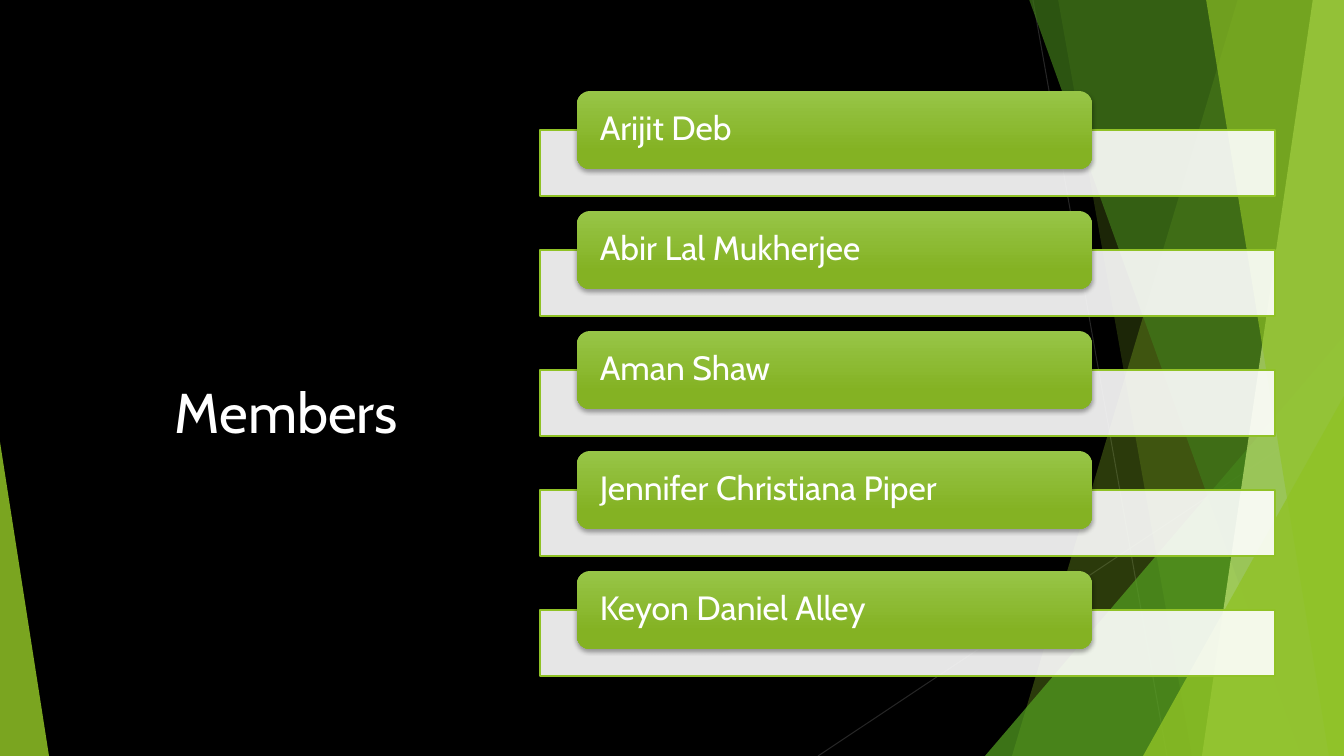
from dataclasses import dataclass

from lxml.etree import SubElement
from pptx import Presentation
from pptx.dml.color import RGBColor
from pptx.enum.shapes import MSO_CONNECTOR, MSO_SHAPE
from pptx.enum.text import MSO_ANCHOR as Anchor, MSO_AUTO_SIZE as AutoSize, PP_ALIGN as Align
from pptx.oxml.ns import qn
from pptx.shapes.autoshape import Shape
from pptx.shapes.shapetree import SlideShapes
from pptx.slide import Slide
from pptx.text.text import TextFrame
from pptx.util import Emu, Pt

WIDTH, HEIGHT = 1344, 756
SCALE = 12192000 / WIDTH
FONT = "Cabin"
ROW_PITCH = 120

BLACK = RGBColor(0x00, 0x00, 0x00)
WHITE = RGBColor(0xFF, 0xFF, 0xFF)
CHARCOAL = RGBColor(0x26, 0x26, 0x26)
LIME = RGBColor(0x90, 0xC2, 0x26)
GREEN = RGBColor(0x54, 0xA0, 0x21)
FOREST = RGBColor(0x3F, 0x78, 0x19)
PALE_LIME = RGBColor(0xC0, 0xE4, 0x74)
PILL_TOP = RGBColor(0x97, 0xC5, 0x47)
PILL_BOTTOM = RGBColor(0x84, 0xB2, 0x23)


@dataclass(frozen=True)
class Box:
    left: int
    top: int
    width: int
    height: int


@dataclass(frozen=True)
class Ray:
    x1: int
    y1: int
    x2: int
    y2: int


@dataclass(frozen=True)
class Band:
    top_x: int
    bottom_x: int
    color: RGBColor
    opacity: int


@dataclass(frozen=True)
class Wedge:
    box: Box
    apex: int
    color: RGBColor
    opacity: int


RAYS = [Ray(1033, 0, 1167, HEIGHT), Ray(WIDTH, 406, 818, HEIGHT)]
FACETS = [
    Band(1238, 1012, LIME, 30),
    Band(1058, 1192, LIME, 20),
    Wedge(Box(985, 336, 359, 420), 1, GREEN, 72),
    Band(1029, 1301, FOREST, 70),
    Band(1313, 1202, PALE_LIME, 70),
    Band(1206, 1329, LIME, 65),
    Wedge(Box(1143, 396, 201, 360), 1, LIME, 80),
    Wedge(Box(0, 442, 49, 314), 0, LIME, 85),
]
TITLE_BOX = Box(64, 185, 344, 265)
MEMBERS = [
    "Arijit Deb",
    "Abir Lal Mukherjee",
    "Aman Shaw",
    "Jennifer Christiana Piper",
    "Keyon Daniel Alley",
]


def px(length: int) -> Emu:
    return Emu(round(length * SCALE))


def place(box: Box) -> tuple[Emu, Emu, Emu, Emu]:
    return px(box.left), px(box.top), px(box.width), px(box.height)


def fill_solid(shape: Shape, color: RGBColor, opacity: int) -> None:
    shape.shadow.inherit = False
    shape.fill.solid()
    shape.fill.fore_color.rgb = color
    tint = shape.fill._xPr.find(f"{qn('a:solidFill')}/{qn('a:srgbClr')}")
    SubElement(tint, qn("a:alpha"), val=str(opacity * 1000))


def write(frame: TextFrame, text: str, size: int, align: Align, anchor: Anchor) -> None:
    frame.text = text
    frame.word_wrap = True
    frame.auto_size = AutoSize.NONE
    frame.vertical_anchor = anchor
    line = frame.paragraphs[0]
    line.alignment = align
    font = line.runs[0].font
    font.name, font.size = FONT, Pt(size)
    font.color.rgb = WHITE


def draw_ray(shapes: SlideShapes, ray: Ray) -> None:
    ends = (px(ray.x1), px(ray.y1), px(ray.x2), px(ray.y2))
    connector = shapes.add_connector(MSO_CONNECTOR.STRAIGHT, *ends)
    connector.line.color.rgb = CHARCOAL
    connector.line.width = Pt(0.75)
    SubElement(connector._element.spPr, qn("a:effectLst"))


def draw_facet(shapes: SlideShapes, facet: Band | Wedge) -> None:
    if isinstance(facet, Band):
        outline = shapes.build_freeform(facet.top_x, -1, scale=SCALE)
        outline.add_line_segments([(WIDTH, -1), (WIDTH, HEIGHT), (facet.bottom_x, HEIGHT)])
        shape = outline.convert_to_shape()
    else:
        shape = shapes.add_shape(MSO_SHAPE.ISOSCELES_TRIANGLE, *place(facet.box))
        shape.adjustments[0] = facet.apex
    fill_solid(shape, facet.color, facet.opacity)
    shape.line.fill.background()


def draw_bar(shapes: SlideShapes, box: Box) -> None:
    bar = shapes.add_shape(MSO_SHAPE.RECTANGLE, *place(box))
    fill_solid(bar, WHITE, 90)
    bar.line.color.rgb = LIME
    bar.line.width = Pt(1)


def draw_pill(shapes: SlideShapes, box: Box, name: str) -> None:
    pill = shapes.add_shape(MSO_SHAPE.ROUNDED_RECTANGLE, *place(box))
    pill.fill.gradient()
    pill.fill.gradient_angle = 270
    for stop, position, color in zip(pill.fill.gradient_stops, (0, 0.78), (PILL_TOP, PILL_BOTTOM)):
        stop.position = position
        stop.color.rgb = color
    pill.line.fill.background()
    pill.shadow.inherit = False
    effects = pill._element.spPr.find(qn("a:effectLst"))
    shadow = SubElement(effects, qn("a:outerShdw"), blurRad=str(Pt(3)), dist=str(Pt(2)),
                        dir="5400000", rotWithShape="0")
    shade = SubElement(shadow, qn("a:srgbClr"), val=str(BLACK))
    SubElement(shade, qn("a:alpha"), val="35000")
    frame = pill.text_frame
    write(frame, name, 24, Align.LEFT, Anchor.MIDDLE)
    frame.margin_left = frame.margin_right = px(19)
    frame.margin_top = frame.margin_bottom = 0
    frame.paragraphs[0].line_spacing = 0.9


def draw_title(slide: Slide) -> None:
    title = slide.shapes.title
    title.left, title.top, title.width, title.height = place(TITLE_BOX)
    write(title.text_frame, "Members", 40, Align.RIGHT, Anchor.BOTTOM)


def main() -> None:
    deck = Presentation()
    deck.slide_width, deck.slide_height = px(WIDTH), px(HEIGHT)
    slide = deck.slides.add_slide(deck.slide_layouts[5])
    slide.background.fill.solid()
    slide.background.fill.fore_color.rgb = BLACK
    for ray in RAYS:
        draw_ray(slide.shapes, ray)
    for facet in FACETS:
        draw_facet(slide.shapes, facet)
    draw_title(slide)
    for row, name in enumerate(MEMBERS):
        offset = row * ROW_PITCH
        draw_bar(slide.shapes, Box(540, 130 + offset, 735, 66))
        draw_pill(slide.shapes, Box(577, 91 + offset, 515, 78), name)
    deck.save("out.pptx")


if __name__ == "__main__":
    main()
